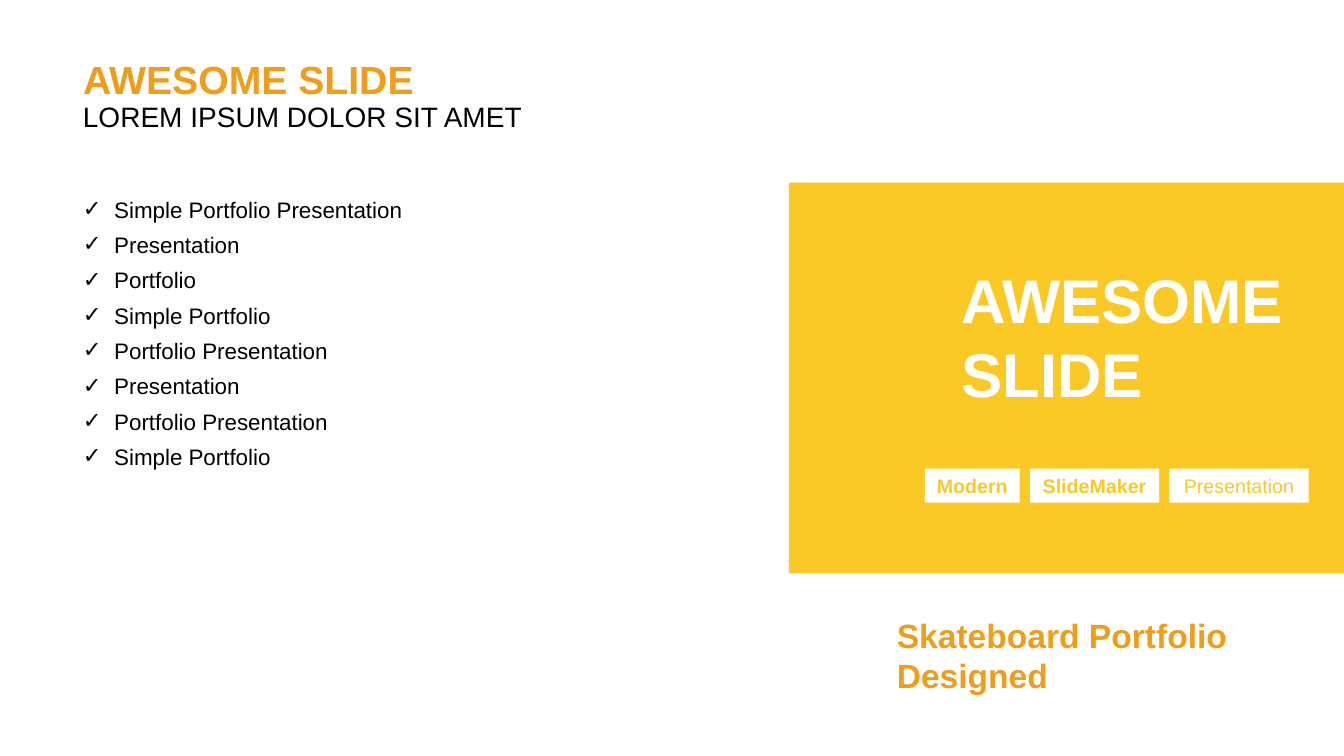
"""Build the portfolio slide with a check list and a yellow cover panel."""
from dataclasses import dataclass

from lxml import etree
from pptx import Presentation
from pptx import util as u
from pptx.dml.color import RGBColor
from pptx.enum import shapes, text
from pptx.oxml.ns import qn


@dataclass(frozen=True)
class Theme:
    font: str = "Arial"
    yellow: str = "FAC926"
    orange: str = "EF9E1B"
    white: str = "FFFFFF"
    black: str = "000000"
    headline: int = 44
    title: int = 28
    caption: int = 24
    subtitle: int = 20
    item: int = 16
    tag: int = 14


@dataclass(frozen=True)
class Box:
    left: float
    top: float
    width: float
    height: float

    def lengths(self) -> tuple:
        return tuple(u.Cm(v) for v in (self.left, self.top, self.width, self.height))


@dataclass(frozen=True)
class Tag:
    label: str
    width: float
    bold: bool


THEME = Theme()
LEFT_MARGIN = 1.84
ITEM_TOP, ITEM_PITCH, ITEM_INDENT = 4.93, 0.89, 0.79
TAG_LEFT, TAG_TOP, TAG_HEIGHT, TAG_GAP = 23.31, 11.81, 0.86, 0.26
TAGS = [Tag("Modern", 2.39, True), Tag("SlideMaker", 3.25, True), Tag("Presentation", 3.51, False)]
ITEMS = [
    "Simple Portfolio Presentation",
    "Presentation",
    "Portfolio",
    "Simple Portfolio",
    "Portfolio Presentation",
    "Presentation",
    "Portfolio Presentation",
    "Simple Portfolio",
]


def write(shape, *lines: str, size: int, color: str, bold: bool = False,
          align=text.PP_ALIGN.LEFT, anchor=text.MSO_ANCHOR.MIDDLE,
          wrap: bool = True, spacing: float = 1.0, bullet: str = "") -> None:
    frame = shape.text_frame
    frame.auto_size = text.MSO_AUTO_SIZE.NONE
    frame.word_wrap = wrap
    frame.vertical_anchor = anchor
    for index, line in enumerate(lines):
        paragraph = frame.add_paragraph() if index else frame.paragraphs[0]
        paragraph.alignment = align
        paragraph.line_spacing = spacing
        if bullet:
            properties = paragraph._p.get_or_add_pPr()
            properties.set("marL", str(u.Cm(ITEM_INDENT)))
            properties.set("indent", str(-u.Cm(ITEM_INDENT)))
            etree.SubElement(properties, qn("a:buFont")).set("typeface", THEME.font)
            etree.SubElement(properties, qn("a:buChar")).set("char", bullet)
        run = paragraph.add_run()
        run.text = line
        run.font.name = THEME.font
        run.font.size = u.Pt(size)
        run.font.bold = bold
        run.font.color.rgb = RGBColor.from_string(color)


def add_rectangle(slide, box: Box, color: str):
    shape = slide.shapes.add_shape(shapes.MSO_SHAPE.RECTANGLE, *box.lengths())
    shape.shadow.inherit = False
    shape.fill.solid()
    shape.fill.fore_color.rgb = RGBColor.from_string(color)
    shape.line.fill.background()
    return shape


def add_text(slide, box: Box, *lines: str, **style) -> None:
    write(slide.shapes.add_textbox(*box.lengths()), *lines, **style)


def add_heading(slide) -> None:
    title = slide.shapes.title
    title.left, title.top, title.width, title.height = Box(LEFT_MARGIN, 1.26, 11.56, 1.45).lengths()
    write(title, "AWESOME SLIDE", size=THEME.title, color=THEME.orange, bold=True)
    add_text(slide, Box(LEFT_MARGIN, 2.37, 11.8, 1.12), "LOREM IPSUM DOLOR SIT AMET",
             size=THEME.subtitle, color=THEME.black, wrap=False)


def add_items(slide) -> None:
    for row, item in enumerate(ITEMS):
        add_text(slide, Box(LEFT_MARGIN, ITEM_TOP + row * ITEM_PITCH, 9.12, 0.81), item,
                 size=THEME.item, color=THEME.black, spacing=0.8, bullet="✓")


def add_cover(slide) -> None:
    add_rectangle(slide, Box(19.88, 4.6, 13.99, 9.85), THEME.yellow)
    add_text(slide, Box(23.98, 6.45, 8.84, 4.01), "AWESOME", "SLIDE",
             size=THEME.headline, color=THEME.white, bold=True)
    left = TAG_LEFT
    for tag in TAGS:
        shape = add_rectangle(slide, Box(left, TAG_TOP, tag.width, TAG_HEIGHT), THEME.white)
        write(shape, tag.label, size=THEME.tag, color=THEME.yellow, bold=tag.bold,
              align=text.PP_ALIGN.CENTER, wrap=False)
        left += tag.width + TAG_GAP
    add_text(slide, Box(22.35, 15.36, 10.49, 2.31), "Skateboard Portfolio Designed",
             size=THEME.caption, color=THEME.orange, bold=True, anchor=text.MSO_ANCHOR.TOP)


def main() -> None:
    presentation = Presentation()
    presentation.slide_width, presentation.slide_height = u.Cm(33.87), u.Cm(19.05)
    slide = presentation.slides.add_slide(presentation.slide_layouts[5])
    add_cover(slide)
    add_heading(slide)
    add_items(slide)
    presentation.save("out.pptx")


if __name__ == "__main__":
    main()
